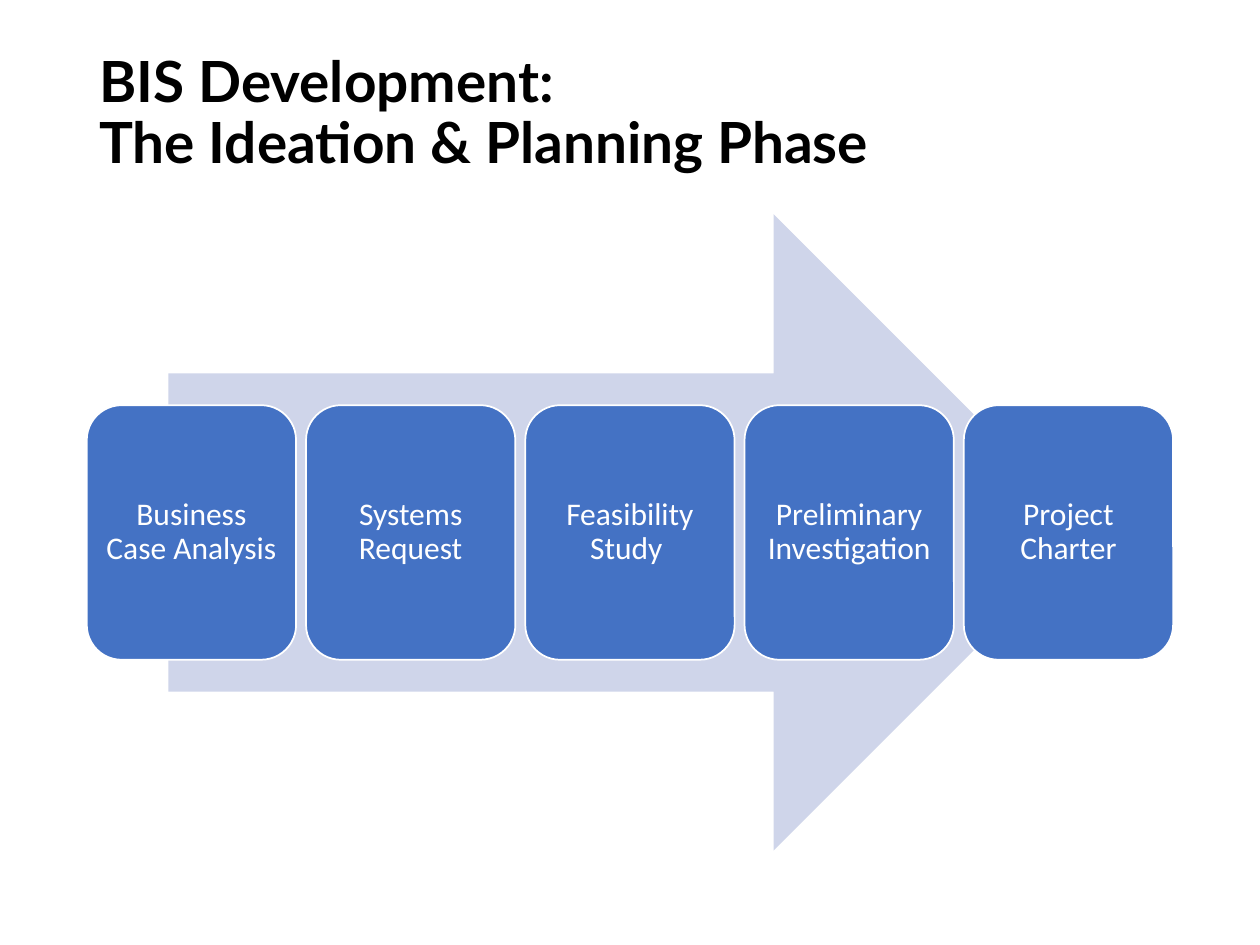
"""Build the slide on the ideation and planning phase of BIS development."""
from copy import deepcopy

from pptx import Presentation
from pptx.dml.color import RGBColor
from pptx.enum.shapes import MSO_SHAPE
from pptx.enum.text import MSO_ANCHOR, MSO_AUTO_SIZE, PP_ALIGN
from pptx.oxml.ns import qn
from pptx.util import Cm, Pt

RIGHT_ARROW = MSO_SHAPE.RIGHT_ARROW
ROUNDED_BOX = MSO_SHAPE.ROUNDED_RECTANGLE
MIDDLE = MSO_ANCHOR.MIDDLE
NO_AUTO_SIZE = MSO_AUTO_SIZE.NONE
LEFT, CENTER = PP_ALIGN.LEFT, PP_ALIGN.CENTER

BLACK, WHITE, BLUE, PALE_BLUE = "000000", "FFFFFF", "4472C4", "CFD5EA"
TITLE = "BIS Development: \vThe Ideation & Planning Phase"
STEPS = [
    "Business Case Analysis",
    "Systems Request",
    "Feasibility Study ",
    "Preliminary Investigation",
    "Project Charter",
]

CONTENT_LEFT, CONTENT_WIDTH = 1.75, 21.9
ARROW_TOP, ARROW_HEIGHT = 4.32, 12.83
ARROW_WIDTH = 0.85 * CONTENT_WIDTH
STEP_WIDTH, STEP_HEIGHT = 4.22, 0.4 * ARROW_HEIGHT


def color(value):
    """Return the colour for a hex string."""
    return RGBColor.from_string(value)


def write_text(shape, text, font="Calibri", size=18, hex_color=WHITE,
               bold=False, align=CENTER, inset=None):
    """Write one formatted paragraph into a shape, centred vertically."""
    frame = shape.text_frame
    frame.word_wrap = True
    frame.auto_size = NO_AUTO_SIZE
    frame.vertical_anchor = MIDDLE
    if inset is not None:
        frame.margin_left = frame.margin_right = Cm(inset)
        frame.margin_top = frame.margin_bottom = Cm(inset)
    paragraph = frame.paragraphs[0]
    paragraph.text = text
    paragraph.alignment = align
    paragraph.line_spacing = 0.9
    for run in paragraph.runs:
        run.font.name = font
        run.font.size = Pt(size)
        run.font.bold = bold
        run.font.color.rgb = color(hex_color)
    for line_break in paragraph._p.findall(qn("a:br")):
        line_break.append(deepcopy(paragraph.runs[0]._r.rPr))


def add_title(slide):
    """Place and fill the title placeholder."""
    title = slide.shapes.title
    title.left, title.top = Cm(CONTENT_LEFT), Cm(1.02)
    title.width, title.height = Cm(CONTENT_WIDTH), Cm(2.59)
    write_text(title, TITLE, font="Lato", size=32.4, hex_color=BLACK,
               bold=True, align=LEFT)


def add_filled_shape(slide, kind, left, top, width, height, fill, line=None):
    """Add a flat preset shape with an optional one-point outline."""
    shape = slide.shapes.add_shape(kind, Cm(left), Cm(top), Cm(width), Cm(height))
    shape.shadow.inherit = False
    shape.fill.solid()
    shape.fill.fore_color.rgb = color(fill)
    if line:
        shape.line.color.rgb = color(line)
        shape.line.width = Pt(1)
    else:
        shape.line.fill.background()
    return shape


def add_process(slide):
    """Add the arrow and the evenly spaced steps across it."""
    arrow_left = CONTENT_LEFT + (CONTENT_WIDTH - ARROW_WIDTH) / 2
    add_filled_shape(slide, RIGHT_ARROW, arrow_left, ARROW_TOP,
                     ARROW_WIDTH, ARROW_HEIGHT, PALE_BLUE)
    pitch = (CONTENT_WIDTH - STEP_WIDTH) / (len(STEPS) - 1)
    step_top = ARROW_TOP + (ARROW_HEIGHT - STEP_HEIGHT) / 2
    for index, step in enumerate(STEPS):
        box = add_filled_shape(slide, ROUNDED_BOX, CONTENT_LEFT + index * pitch,
                               step_top, STEP_WIDTH, STEP_HEIGHT, BLUE, WHITE)
        write_text(box, step, inset=0.18)


def main():
    """Create and save the presentation."""
    presentation = Presentation()
    presentation.slide_width, presentation.slide_height = Cm(25.4), Cm(19.05)
    slide = presentation.slides.add_slide(presentation.slide_layouts[5])
    add_title(slide)
    add_process(slide)
    presentation.save("out.pptx")


if __name__ == "__main__":
    main()
